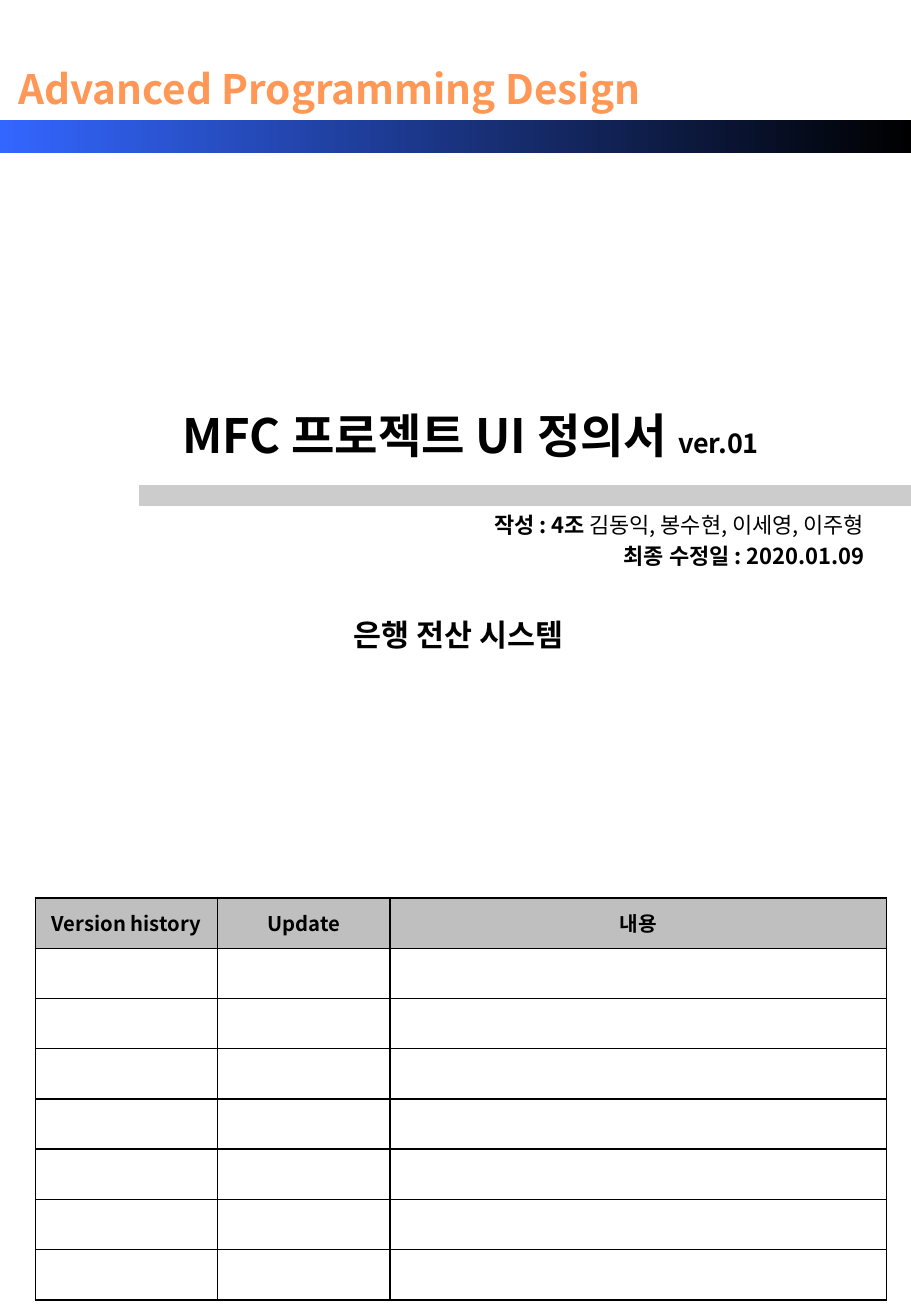
from dataclasses import dataclass

from lxml import etree
from pptx import Presentation
from pptx.dml.color import RGBColor
from pptx.enum.shapes import MSO_SHAPE
from pptx.enum.text import MSO_ANCHOR, MSO_AUTO_SIZE, PP_ALIGN
from pptx.oxml.ns import qn
from pptx.util import Inches, Pt

COURSE = "Advanced Programming Design"
TITLE = [("MFC 프로젝트 UI 정의서 ", 28, True), ("ver.01", 16, True)]
SYSTEM = "은행 전산 시스템"
AUTHORS = [("작성 : 4조 ", 13, True), ("김동익, 봉수현, 이세영, 이주형", 13, False)]
REVISED = "최종 수정일 : 2020.01.09"
HISTORY_HEADINGS = ["Version history", "Update", "내용"]
HISTORY_WIDTHS = [1.5, 1.42, 4.09]
HISTORY_ROWS = 8
ROW_HEIGHT = 3.31 / HISTORY_ROWS


@dataclass(frozen=True)
class Theme:
    font: str = "Noto Sans CJK KR"
    text: str = "000000"
    course: str = "FF9856"
    band_start: str = "3366FF"
    band_end: str = "000000"
    rule: str = "CCCCCC"
    heading: str = "BFBFBF"
    body: str = "FFFFFF"
    course_size: int = 24
    system_size: int = 18
    detail_size: int = 13
    table_size: int = 12


THEME = Theme()


def rgb(value):
    return RGBColor.from_string(value)


def style(paragraph, size, align=PP_ALIGN.CENTER, color=THEME.text):
    paragraph.alignment = align
    font = paragraph.font
    font.size, font.bold, font.name = Pt(size), True, THEME.font
    font.color.rgb = rgb(color)
    defaults = paragraph._p.pPr.find(qn("a:defRPr"))
    etree.SubElement(defaults, qn("a:ea"), typeface=THEME.font)


def add_runs(paragraph, pieces):
    for words, size, bold in pieces:
        run = paragraph.add_run()
        run.text = words
        run.font.size, run.font.bold = Pt(size), bold


def place(shape, left, top, width, height):
    shape.left, shape.top = Inches(left), Inches(top)
    shape.width, shape.height = Inches(width), Inches(height)


def add_text(slide, box, wrap=True):
    frame = slide.shapes.add_textbox(*map(Inches, box)).text_frame
    frame.word_wrap = wrap
    return frame


def add_bar(slide, box):
    bar = slide.shapes.add_shape(MSO_SHAPE.RECTANGLE, *map(Inches, box))
    bar.shadow.inherit = False
    return bar


def add_header(slide):
    band = add_bar(slide, (0, 0.99, 7.5, 0.27))
    band.line.fill.background()
    band.fill.gradient()
    band.fill.gradient_angle = 0
    for stop, color in zip(band.fill.gradient_stops, (THEME.band_start, THEME.band_end)):
        stop.color.rgb = rgb(color)
    band.fill.gradient_stops[0].position = 0
    band.fill.gradient_stops[1].position = 1
    course = add_text(slide, (0.05, 0.48, 5.32, 0.5), wrap=False).paragraphs[0]
    course.text = COURSE
    style(course, THEME.course_size, color=THEME.course)


def add_title(slide):
    title = slide.shapes.title
    place(title, 0.33, 3.29, 7.09, 1.26)
    frame = title.text_frame
    frame.vertical_anchor = MSO_ANCHOR.TOP
    frame.auto_size = MSO_AUTO_SIZE.NONE
    style(frame.paragraphs[0], TITLE[0][1])
    add_runs(frame.paragraphs[0], TITLE)
    rule = add_bar(slide, (1.15, 4, 6.35, 0.16))
    rule.fill.solid()
    rule.fill.fore_color.rgb = rgb(THEME.rule)
    rule.line.color.rgb = rgb(THEME.rule)
    rule.line.width = Pt(0.75)


def add_details(slide):
    system = add_text(slide, (1.15, 5.02, 5.25, 0.87)).paragraphs[0]
    system.text = SYSTEM
    style(system, THEME.system_size)
    frame = add_text(slide, (2.4, 4.16, 4.81, 0.63))
    authors, revised = frame.paragraphs[0], frame.add_paragraph()
    add_runs(authors, AUTHORS)
    revised.text = REVISED
    for line in (authors, revised):
        style(line, THEME.detail_size, PP_ALIGN.RIGHT)
        line.space_before = Pt(2.6)


def add_borders(cell):
    properties = cell._tc.get_or_add_tcPr()
    for side in ("lnL", "lnR", "lnT", "lnB"):
        border = etree.SubElement(properties, qn(f"a:{side}"), w=str(Pt(1)))
        fill = etree.SubElement(border, qn("a:solidFill"))
        etree.SubElement(fill, qn("a:srgbClr"), val=THEME.text)


def add_history(slide):
    box = (0.29, 7.39, sum(HISTORY_WIDTHS), ROW_HEIGHT * HISTORY_ROWS)
    history = slide.shapes.add_table(
        HISTORY_ROWS, len(HISTORY_WIDTHS), *map(Inches, box)).table
    history.first_row = history.horz_banding = False
    for column, width in zip(history.columns, HISTORY_WIDTHS):
        column.width = Inches(width)
    for row in history.rows:
        row.height = Inches(ROW_HEIGHT)
    for cell in history.iter_cells():
        cell.margin_top = cell.margin_bottom = 0
        cell.vertical_anchor = MSO_ANCHOR.MIDDLE
        add_borders(cell)
        cell.fill.solid()
        cell.fill.fore_color.rgb = rgb(THEME.body)
    for column, heading in enumerate(HISTORY_HEADINGS):
        cell = history.cell(0, column)
        cell.fill.fore_color.rgb = rgb(THEME.heading)
        cell.text = heading
        style(cell.text_frame.paragraphs[0], THEME.table_size)


def main():
    deck = Presentation()
    deck.slide_width, deck.slide_height = Inches(7.5), Inches(10.83)
    cover = deck.slides.add_slide(deck.slide_layouts[5])
    add_header(cover)
    add_title(cover)
    add_details(cover)
    add_history(cover)
    deck.save("out.pptx")


if __name__ == "__main__":
    main()
